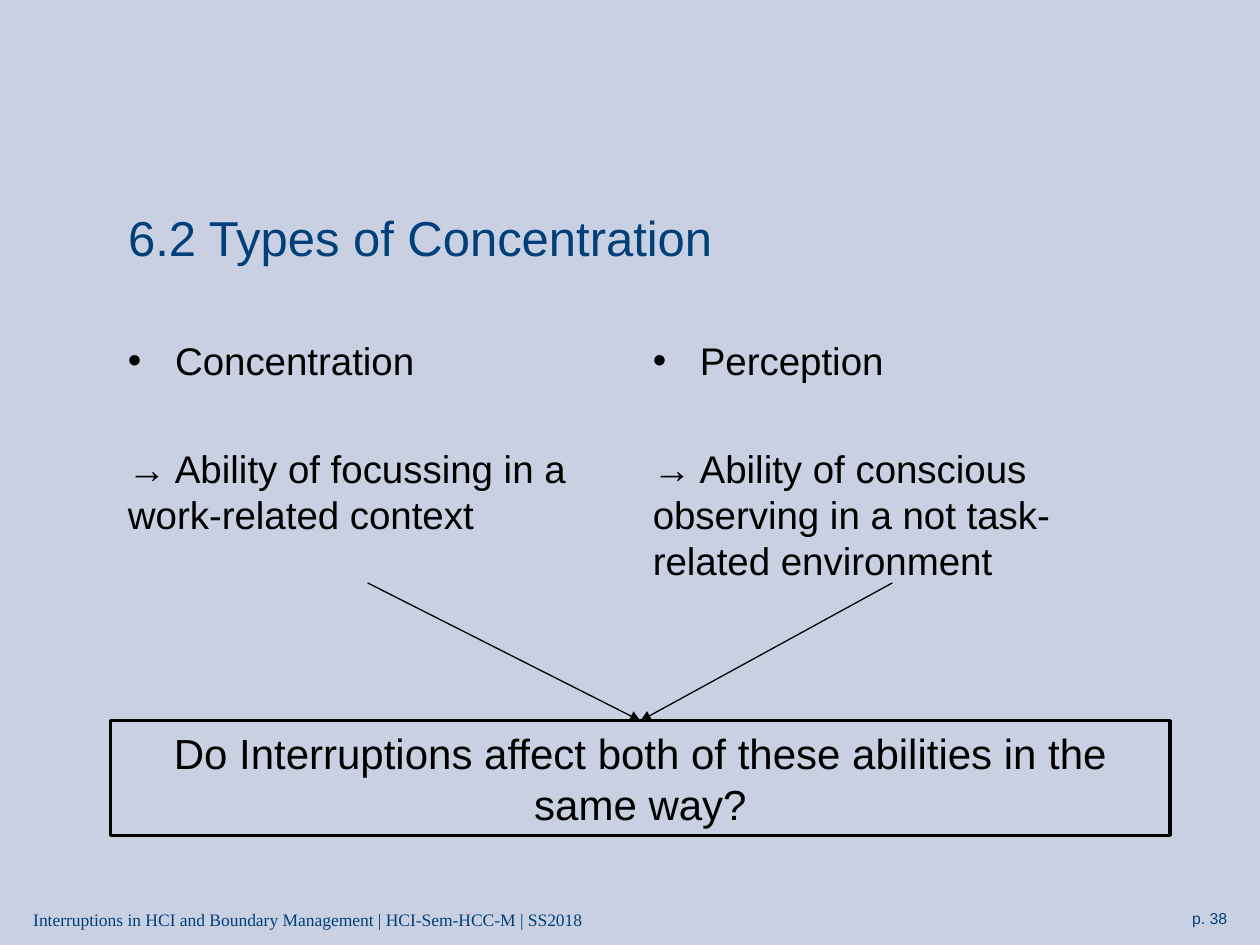
from lxml import etree
from pptx import Presentation
from pptx.dml.color import RGBColor
from pptx.enum import shapes, text
from pptx.oxml.ns import qn
from pptx.util import Cm, Pt

THEME = {
    "paper": RGBColor.from_string("C8D0E2"),
    "accent": RGBColor.from_string("00407A"),
    "ink": RGBColor.from_string("000000"),
    "sans": "Arial", "serif": "Times New Roman",
    "title": 28, "body": 22, "question": 24, "footer": 10, "number": 9,
    "body_leading": 26.3, "question_leading": 29.1, "definition_gap": 35.4,
}

TITLE = "6.2 Types of Concentration"
TYPES = [
    ("Concentration", "→ Ability of focussing in a work-related context"),
    ("Perception", "→ Ability of conscious observing in a not task-related environment"),
]
QUESTION = "Do Interruptions affect both of these abilities in the same way?"
FOOTER = "Interruptions in HCI and Boundary Management | HCI-Sem-HCC-M | SS2018"
NUMBER = "p. 38"

MARGIN, COLUMN_TOP, COLUMN_WIDTH, COLUMN_HEIGHT = 2.33, 6.67, 10.16, 5.08
COLUMN_STEP = 10.58
INDENT = Cm(0.95)


def write(paragraph, words, size, color=THEME["ink"], font=THEME["sans"],
          align=text.PP_ALIGN.LEFT, leading=None, before=0, bullet=False):
    paragraph.alignment = align
    paragraph.space_before = Pt(before)
    if leading:
        paragraph.line_spacing = Pt(leading)
    if bullet:
        properties = paragraph._p.get_or_add_pPr()
        properties.set("marL", str(INDENT))
        properties.set("indent", str(-INDENT))
        etree.SubElement(properties, qn("a:buFont")).set("typeface", THEME["sans"])
        etree.SubElement(properties, qn("a:buChar")).set("char", "•")
    run = paragraph.add_run()
    run.text = words
    run.font.size = Pt(size)
    run.font.name = font
    run.font.color.rgb = color


def add_frame(slide, left, top, width, height):
    box = slide.shapes.add_textbox(Cm(left), Cm(top), Cm(width), Cm(height))
    box.text_frame.word_wrap = True
    return box


def add_title(slide):
    title = slide.shapes.title
    title.left, title.top, title.width, title.height = Cm(MARGIN), Cm(3.18), Cm(20.75), Cm(3.18)
    title.text_frame.vertical_anchor = text.MSO_ANCHOR.MIDDLE
    write(title.text_frame.paragraphs[0], TITLE, THEME["title"], color=THEME["accent"])


def add_column(slide, index, name, definition):
    column = add_frame(slide, MARGIN + index * COLUMN_STEP, COLUMN_TOP, COLUMN_WIDTH, COLUMN_HEIGHT)
    frame = column.text_frame
    write(frame.paragraphs[0], name, THEME["body"], leading=THEME["body_leading"], bullet=True)
    write(frame.add_paragraph(), definition, THEME["body"],
          leading=THEME["body_leading"], before=THEME["definition_gap"])
    return column


def add_question(slide):
    question = slide.shapes.add_shape(
        shapes.MSO_SHAPE.RECTANGLE, Cm(2.23), Cm(14.53), Cm(21.36), Cm(2.31))
    question.shadow.inherit = False
    question.fill.solid()
    question.fill.fore_color.rgb = THEME["paper"]
    question.line.color.rgb = THEME["ink"]
    question.line.width = Pt(2)
    question.text_frame.word_wrap = True
    question.text_frame.vertical_anchor = text.MSO_ANCHOR.TOP
    write(question.text_frame.paragraphs[0], QUESTION, THEME["question"],
          align=text.PP_ALIGN.CENTER, leading=THEME["question_leading"])
    return question


def add_arrow(slide, column, question):
    arrow = slide.shapes.add_connector(shapes.MSO_CONNECTOR.STRAIGHT, 0, 0, 0, 0)
    arrow.begin_connect(column, 2)
    arrow.end_connect(question, 0)
    arrow.line.color.rgb = THEME["ink"]
    arrow.line.width = Pt(0.75)
    etree.SubElement(arrow.line._get_or_add_ln(), qn("a:tailEnd")).set("type", "triangle")
    etree.SubElement(arrow._element.spPr, qn("a:effectLst"))


def main():
    deck = Presentation()
    deck.slide_width, deck.slide_height = Cm(25.4), Cm(19.05)
    slide = deck.slides.add_slide(deck.slide_layouts[5])
    slide.background.fill.solid()
    slide.background.fill.fore_color.rgb = THEME["paper"]

    number = add_frame(slide, 22.02, 18.2, 2.97, 0.64)
    write(number.text_frame.paragraphs[0], NUMBER, THEME["number"],
          color=THEME["accent"], align=text.PP_ALIGN.RIGHT)
    footer = add_frame(slide, 0.42, 18.2, 11.68, 0.68)
    write(footer.text_frame.paragraphs[0], FOOTER, THEME["footer"],
          color=THEME["accent"], font=THEME["serif"])

    add_title(slide)
    columns = [add_column(slide, i, *content) for i, content in enumerate(TYPES)]
    question = add_question(slide)
    for column in columns:
        add_arrow(slide, column, question)
    deck.save("out.pptx")


if __name__ == "__main__":
    main()
